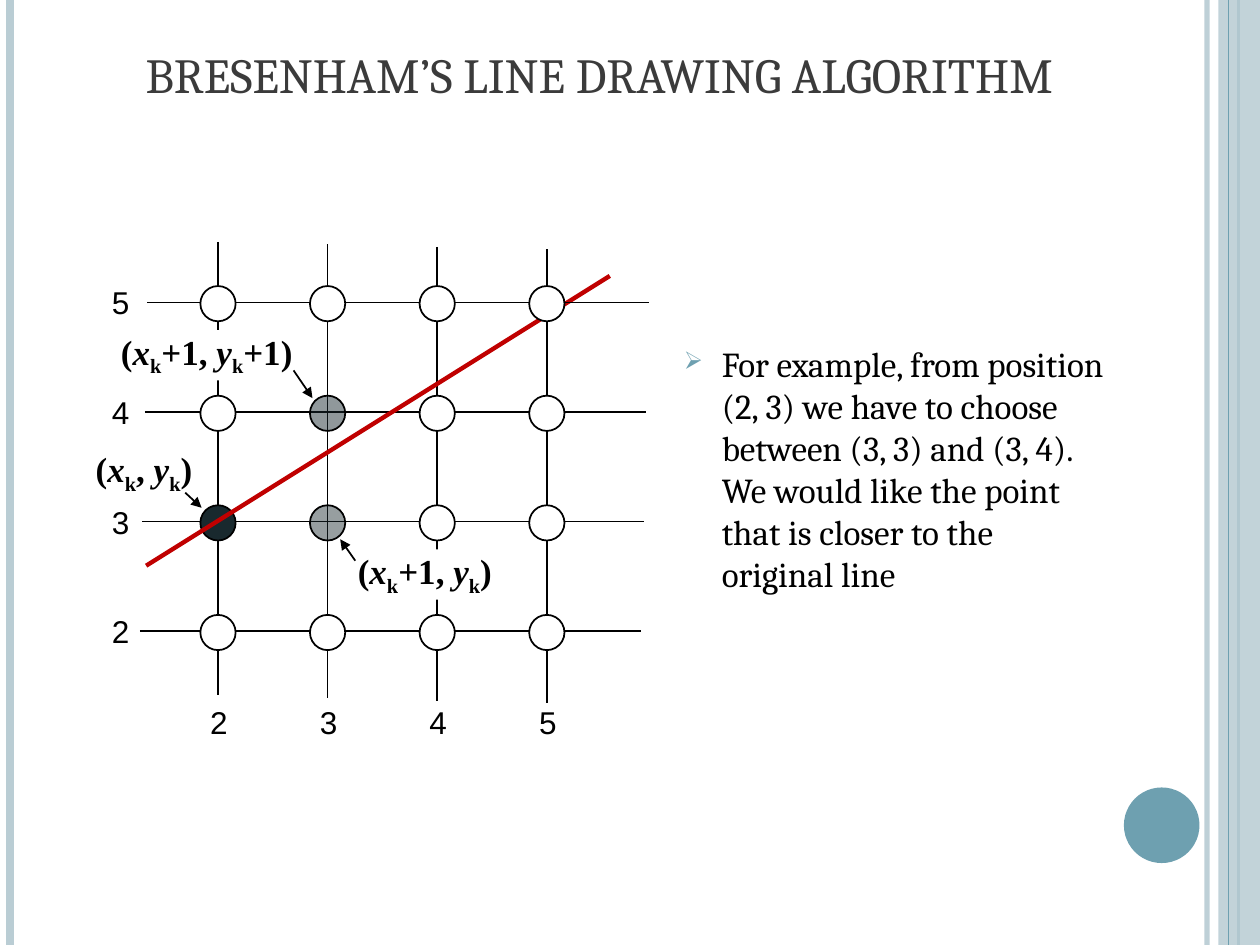
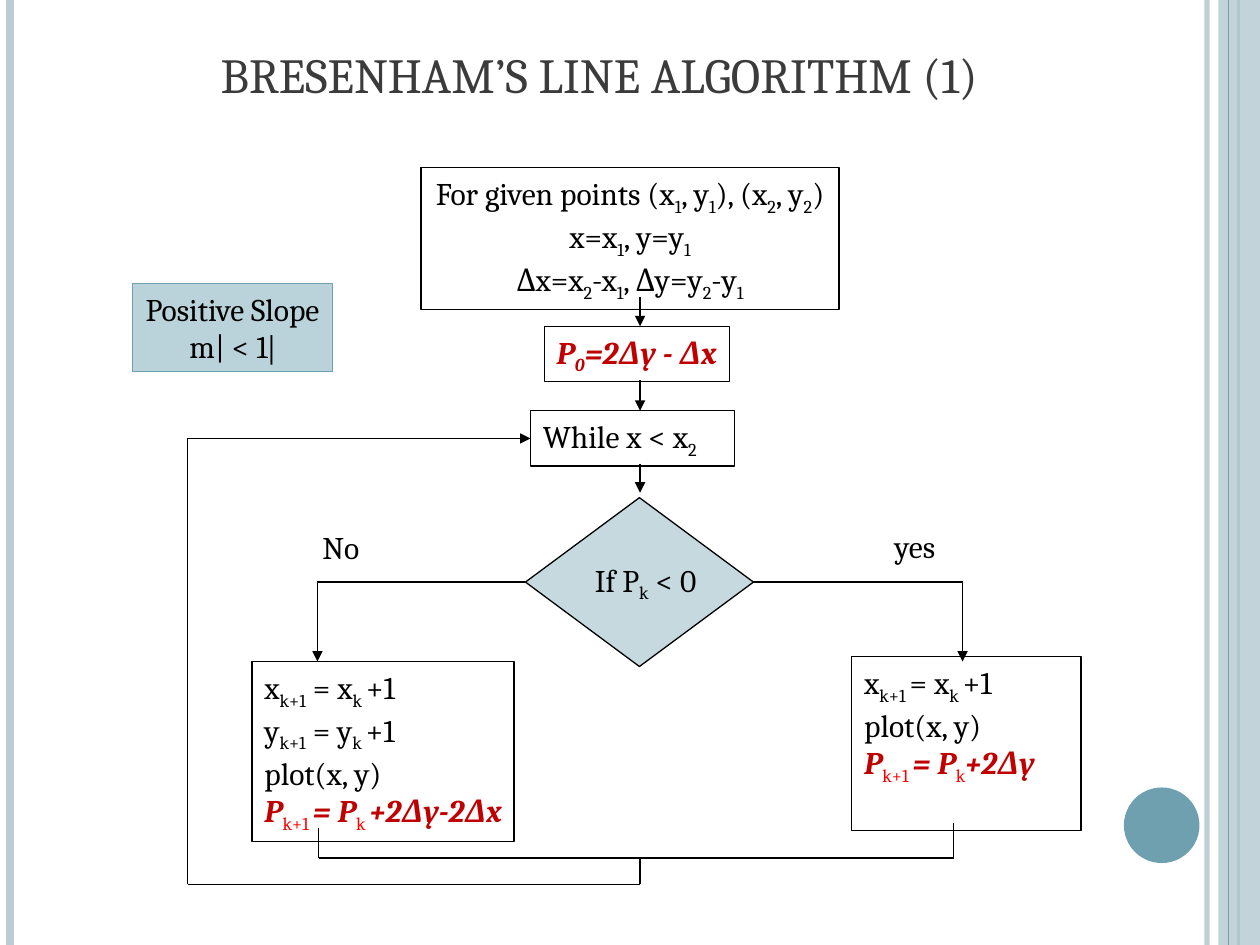
"""Build two slides on Bresenham's line algorithm: the pixel grid and the flowchart."""
from itertools import pairwise, product

from lxml.etree import SubElement
from pptx import Presentation
from pptx.dml.color import RGBColor
from pptx.enum.shapes import MSO_CONNECTOR as CONN, MSO_SHAPE as SHAPE
from pptx.enum.text import MSO_ANCHOR as ANCHOR, PP_ALIGN as ALIGN
from pptx.oxml.ns import qn
from pptx.util import Inches, Pt

W, H = 10, 7.5
BLACK, WHITE, RED, BRIGHT_RED = "000000", "FFFFFF", "C00000", "FF0000"
TEAL, PALE, DARK, DIAMOND, TITLE_GREY = "6EA0B0", "BACDD4", "19292E", "C5D9DF", "3B3B3B"
SERIF, SANS, MATH = "Cambria", "Arial", "Times New Roman"
INSETS = (0.1, 0.05, 0.1, 0.05)

BANDS = [(9.58, PALE, 3, 93), (0.08, PALE, 4.5, 100), (9.83, TEAL, 1.5, 100)]
EDGE_LINE = (9.75, TEAL, 0.75, 100)

TITLES = ["BRESENHAM’S LINE DRAWING ALGORITHM", "BRESENHAM’S LINE ALGORITHM (1)"]
EXAMPLE = ("For example, from position (2, 3) we have to choose between (3, 3) and (3, 4). "
           "We would like the point that is closer to the original line")

X0, Y0, STEP, DOT = 1.73, 2.41, 0.87, 0.28
X_VALUES, Y_VALUES = "2345", "5432"
DOT_FILLS = {("2", "3"): (DARK, 100), ("3", "4"): (DARK, 48), ("3", "3"): (DARK, 45)}
TRUE_LINE = (1.16, 4.49), (4.84, 2.19)
POINT_LABELS = [
    ((0.76, 3.55, 0.77, 0.4), "(~/x~_k~, ~/y~_k~)"),
    ((2.84, 4.36, 1.06, 0.4), "(~/x~_k~+1, ~/y~_k~)"),
    ((0.96, 2.62, 1.36, 0.4), "(~/x~_k~+1, ~/y~_k~+1)"),
]
POINTERS = [((2.33, 2.94), (2.48, 3.16)), ((2.82, 4.45), (2.7, 4.28)), ((1.47, 3.91), (1.6, 4.03))]

RUN_STYLES = {
    "_": {"sub": True},
    "/": {"italic": True},
    "!": {"color": RED, "bold": True, "italic": True},
    "?": {"color": BRIGHT_RED, "sub": True},
}
BOXES = {
    "start": dict(at=(3.34, 1.33, 3.32, 1.13), align=ALIGN.CENTER, lines=[
        "For given points (x~_1~, y~_1~), (x~_2~, y~_2~)", "x=x~_1~, y=y~_1",
        "Δx=x~_2~-x~_1~, Δy=y~_2~-y~_1"]),
    "p0": dict(at=(4.32, 2.59, 1.47, 0.44), lines=["P~_0~=2Δy - Δx"],
               color=RED, bold=True, italic=True),
    "while": dict(at=(4.21, 3.26, 1.62, 0.44), lines=["While x < x~_2"]),
    "if": dict(at=(4.17, 3.95, 1.81, 1.34), lines=["If P~_k~ < 0"], kind=SHAPE.DIAMOND,
               fill=DIAMOND, anchor=ANCHOR.MIDDLE),
    "yes": dict(at=(6.76, 5.21, 1.82, 1.38), lines=[
        "x~_k+1 ~= x~_k ~+1", "plot(x, y)", "!P~?k+1 ~!= P~?k~!+2Δy"]),
    "no": dict(at=(2, 5.25, 2.08, 1.43), lines=[
        "x~_k+1~ = x~_k ~+1", "y~_k+1~ = y~_k ~+1", "plot(x, y)",
        "!P~?k+1 ~!= P~?k ~!+2Δy-2Δx"]),
    "slope": dict(at=(1.05, 2.25, 1.59, 0.7), lines=["Positive Slope", "|m| < 1"],
                  align=ALIGN.CENTER, rtl=True, fill=TEAL, alpha=47, line=TEAL),
}
BRANCH_LABELS = [((7, 4.13, 0.53, 0.4), "yes"), ((2.46, 4.14, 0.49, 0.4), "No")]
MID, BRANCH_Y, MERGE_Y, BACK_Y, BACK_X, LOOP_Y = 5.08, 4.62, 6.81, 7.02, 1.49, 3.48
ROUTES = [
    dict(points=[(MID, 2.36), (MID, 2.59)], arrow=True),
    dict(points=[(MID, 3.02), (MID, 3.26)], arrow=True),
    dict(points=[(MID, 3.68), (MID, 3.91)], arrow=True),
    dict(points=[(5.98, BRANCH_Y), (7.64, BRANCH_Y), (7.64, 5.25)], arrow=True, begin=("if", 3)),
    dict(points=[(4.17, BRANCH_Y), (2.52, BRANCH_Y), (2.52, 5.25)], arrow=True, begin=("if", 1)),
    dict(points=[(2.53, 6.57), (2.53, MERGE_Y), (7.57, MERGE_Y), (7.57, 6.53)]),
    dict(points=[(MID, MERGE_Y), (MID, BACK_Y), (BACK_X, BACK_Y), (BACK_X, LOOP_Y),
                 (4.21, LOOP_Y)], arrow=True, end=("while", 1)),
]


def rgb(color):
    return RGBColor.from_string(color)


def fade(sp, parent, alpha):
    if alpha < 100:
        color = sp._element.xpath(f"./p:spPr/{parent}a:solidFill/a:srgbClr")[0]
        SubElement(color, qn("a:alpha"), val=str(alpha * 1000))


def add_line(s, start, end, color=BLACK, width=1, alpha=100, arrow=False):
    sp = s.shapes.add_connector(CONN.STRAIGHT, *map(Inches, (*start, *end)))
    sp.line.color.rgb = rgb(color)
    sp.line.width = Pt(width)
    fade(sp, "a:ln/", alpha)
    if arrow:
        SubElement(sp._element.spPr.find(qn("a:ln")), qn("a:tailEnd"), type="triangle")
    SubElement(sp._element.spPr, qn("a:effectLst"))
    return sp


def add_shape(s, kind, at, fill=None, alpha=100, line=None, width=1):
    sp = s.shapes.add_shape(kind, *map(Inches, at))
    sp.shadow.inherit = False
    if fill:
        sp.fill.solid()
        sp.fill.fore_color.rgb = rgb(fill)
        fade(sp, "", alpha)
    else:
        sp.fill.background()
    if line:
        sp.line.color.rgb = rgb(line)
        sp.line.width = Pt(width)
    else:
        sp.line.fill.background()
    return sp


def write(sp, lines, size=18, font=SERIF, color=BLACK, bold=False, italic=False,
          align=ALIGN.LEFT, anchor=ANCHOR.TOP, insets=INSETS, wrap=False, rtl=False):
    tf = sp.text_frame
    tf.word_wrap, tf.vertical_anchor = wrap, anchor
    for side, inset in zip(("left", "top", "right", "bottom"), insets):
        setattr(tf, f"margin_{side}", Inches(inset))
    for i, text in enumerate(lines):
        p = tf.add_paragraph() if i else tf.paragraphs[0]
        p.alignment = align
        if rtl:
            p._p.get_or_add_pPr().set("rtl", "1")
        for part in text.split("~"):
            if not part:
                continue
            style = RUN_STYLES.get(part[0], {})
            fmt = {"size": Pt(size), "name": font, "bold": bold, "italic": italic,
                   "color": color} | style
            r = p.add_run()
            r.text = part[1:] if style else part
            r.font.color.rgb = rgb(fmt.pop("color"))
            if fmt.pop("sub", False):
                r.font._element.set("baseline", "-25000")
            for name, value in fmt.items():
                setattr(r.font, name, value)
    return sp


def add_text(s, at, text, **fmt):
    return write(s.shapes.add_textbox(*map(Inches, at)), [text], **fmt)


def add_band(s, x, color, width, alpha):
    add_line(s, (x, 0), (x, H), color, width, alpha)


def new_slide(prs, title):
    s = prs.slides.add_slide(prs.slide_layouts[6])
    for band in BANDS:
        add_band(s, *band)
    add_shape(s, SHAPE.RECTANGLE, (9.67, 0, 0.33, H), PALE, 87)
    add_band(s, *EDGE_LINE)
    add_shape(s, SHAPE.OVAL, (8.92, 6.25, 0.6, 0.6), TEAL)
    add_text(s, (0.67, 0, 8.17, 0.87), title, size=28, color=TITLE_GREY,
             align=ALIGN.CENTER, anchor=ANCHOR.BOTTOM, wrap=True)
    return s


def add_bullet(p):
    pPr = p._p.get_or_add_pPr()
    pPr.set("marL", str(Inches(0.3)))
    pPr.set("indent", str(Inches(-0.3)))
    SubElement(SubElement(pPr, qn("a:buClr")), qn("a:srgbClr"), val=TEAL)
    SubElement(pPr, qn("a:buSzPct"), val="70000")
    SubElement(pPr, qn("a:buChar"), char="➢")


def add_dots(s, rows):
    for (j, y), (i, x) in product(rows, enumerate(X_VALUES)):
        fill, alpha = DOT_FILLS.get((x, y), (WHITE, 100))
        at = (X0 + i * STEP - DOT / 2, Y0 + j * STEP - DOT / 2, DOT, DOT)
        add_shape(s, SHAPE.OVAL, at, fill, alpha, BLACK)


def add_row_line(s, j):
    y = Y0 + j * STEP - 0.01
    add_line(s, (1.17 - 0.02 * j, y), (5.15 - 0.02 * j, y))


def draw_grid(s):
    rows = list(enumerate(Y_VALUES))
    for i in range(len(X_VALUES)):
        x = X0 + i * STEP
        add_line(s, (x, 1.92 + 0.02 * i), (x, 5.52 + 0.02 * i))
    for j, _ in rows[1:]:
        add_row_line(s, j)
    add_dots(s, rows[1:])
    add_line(s, *TRUE_LINE, RED, 2.5)
    add_row_line(s, 0)
    add_dots(s, rows[:1])
    for i, value in enumerate(X_VALUES):
        add_text(s, (X0 - 0.16 + i * STEP, 5.53, 0.34, 0.4), value, font=SANS)
    for j, value in rows:
        add_text(s, (0.79, Y0 - 0.21 + j * STEP, 0.34, 0.4), value, font=SANS)
    for at, text in POINT_LABELS:
        write(add_shape(s, SHAPE.RECTANGLE, at, WHITE), [text], size=20, font=MATH,
              bold=True, insets=(0, 0, 0, 0.02))
    for start, end in POINTERS:
        add_line(s, start, end, arrow=True)


def add_box(s, at, lines, kind=SHAPE.RECTANGLE, fill=None, alpha=100, line=BLACK, **fmt):
    return write(add_shape(s, kind, at, fill, alpha, line, 0.75), lines, **fmt)


def add_route(s, boxes, points, arrow=False, begin=None, end=None):
    legs = list(pairwise(points))
    lines = [add_line(s, *leg, width=0.75, arrow=arrow and leg == legs[-1]) for leg in legs]
    if begin:
        lines[0].begin_connect(boxes[begin[0]], begin[1])
    if end:
        lines[-1].end_connect(boxes[end[0]], end[1])


def main():
    prs = Presentation()
    prs.slide_width, prs.slide_height = Inches(W), Inches(H)
    grid, flow = (new_slide(prs, title) for title in TITLES)

    example = add_text(grid, (5.33, 2.67, 3.58, 2.67), EXAMPLE, size=20, wrap=True)
    add_bullet(example.text_frame.paragraphs[0])
    draw_grid(grid)

    boxes = {name: add_box(flow, **box) for name, box in BOXES.items()}
    for at, text in BRANCH_LABELS:
        add_text(flow, at, text)
    for route in ROUTES:
        add_route(flow, boxes, **route)
    prs.save("out.pptx")


if __name__ == "__main__":
    main()
